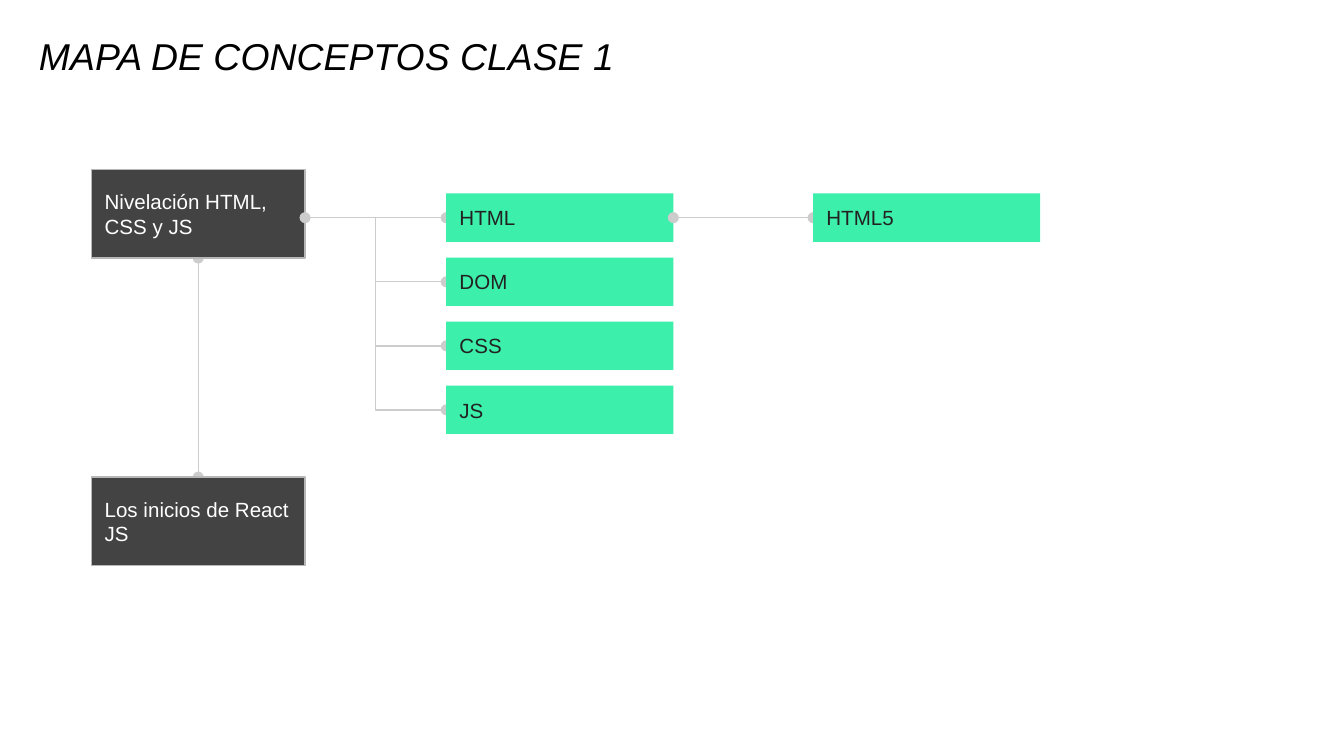
from lxml.etree import SubElement
from pptx import Presentation
from pptx.dml.color import RGBColor
from pptx.enum.shapes import MSO_CONNECTOR as Connector, MSO_SHAPE as Shape
from pptx.enum.text import MSO_ANCHOR as Anchor, MSO_AUTO_SIZE as AutoSize, PP_ALIGN as Align
from pptx.oxml.ns import qn
from pptx.util import Inches, Pt

BLACK = RGBColor(0x00, 0x00, 0x00)
WHITE = RGBColor(0xFF, 0xFF, 0xFF)
INK = RGBColor(0x22, 0x22, 0x22)
CHARCOAL = RGBColor(0x43, 0x43, 0x43)
BORDER = RGBColor(0xB7, 0xB7, 0xB7)
LINK = RGBColor(0xCC, 0xCC, 0xCC)
MINT = RGBColor(0x3C, 0xEF, 0xAB)

TOP, LEFT, BOTTOM, RIGHT = range(4)
STAGE_SIZE = Inches(1.59), Inches(0.66)
TOPIC_SIZE = Inches(1.69), Inches(0.36)


def write_text(box, text, size, color, anchor, italic=False):
    """Fill a shape with one left-aligned paragraph."""
    frame = box.text_frame
    frame.text = text
    frame.word_wrap = True
    frame.auto_size = AutoSize.NONE
    frame.vertical_anchor = anchor
    frame.margin_left = frame.margin_right = Inches(0.1)
    frame.margin_top = frame.margin_bottom = Inches(0.1)
    para = frame.paragraphs[0]
    para.alignment = Align.LEFT
    para.font.name = "Arial"
    para.font.size = Pt(size)
    para.font.italic = italic
    para.font.color.rgb = color


def add_box(page, text, left, top, size, fill, ink, border=None):
    """Add a filled concept box with its label."""
    box = page.shapes.add_shape(Shape.RECTANGLE, left, top, *size)
    box.shadow.inherit = False
    box.fill.solid()
    box.fill.fore_color.rgb = fill
    if border is None:
        box.line.fill.background()
    else:
        box.line.color.rgb = border
        box.line.width = Pt(0.75)
    write_text(box, text, 11, ink, Anchor.MIDDLE)
    return box


def add_link(page, kind, start, end, behind, ends=("headEnd", "tailEnd")):
    """Add a dotted-end connector layered just behind the given box."""
    link = page.shapes.add_connector(kind, *start, *end)
    link.line.color.rgb = LINK
    link.line.width = Pt(0.75)
    SubElement(link._element.spPr, qn("a:effectLst"))
    for name in ends:
        SubElement(link.line._get_or_add_ln(), qn(f"a:{name}"), type="oval")
    behind._element.addprevious(link._element)
    return link


def add_title(page, text, left, top, width, height):
    """Place and format the title placeholder."""
    title = page.shapes.title
    title.left, title.top, title.width, title.height = left, top, width, height
    write_text(title, text, 20, BLACK, Anchor.BOTTOM, italic=True)


def add_stages(page, labels, left, top, pitch):
    """Stack the class stages and join each to the next."""
    stages = [
        add_box(page, label, left, top + pitch * row, STAGE_SIZE, CHARCOAL, WHITE, BORDER)
        for row, label in enumerate(labels)
    ]
    for upper, lower in zip(stages, stages[1:]):
        link = add_link(page, Connector.STRAIGHT, (0, 0), (0, 0), stages[0])
        link.begin_connect(upper, BOTTOM)
        link.end_connect(lower, TOP)


def add_topics(page, labels, root, left, top, pitch):
    """Stack the topics and branch to each of them from the root point."""
    topics = []
    for row, label in enumerate(labels):
        topic = add_box(page, label, left, top + pitch * row, TOPIC_SIZE, MINT, INK)
        target = left, topic.top + topic.height // 2
        if row == 0:
            link = add_link(page, Connector.STRAIGHT, root, target, topic)
            link.end_connect(topic, LEFT)
        else:
            add_link(page, Connector.ELBOW, root, target, topic, ends=("tailEnd",))
        topics.append(topic)
    return topics


def add_detail(page, label, topic, left):
    """Add a detail box level with its topic and join the two."""
    detail = add_box(page, label, left, topic.top, TOPIC_SIZE, MINT, INK)
    link = add_link(page, Connector.STRAIGHT, (0, 0), (0, 0), detail)
    link.begin_connect(topic, RIGHT)
    link.end_connect(detail, LEFT)


def main():
    """Build the concept map slide."""
    deck = Presentation()
    deck.slide_width = Inches(10)
    deck.slide_height = deck.slide_width * 9 // 16
    page = deck.slides.add_slide(deck.slide_layouts[5])
    add_title(page, "MAPA DE CONCEPTOS CLASE 1",
              Inches(0.19), Inches(0.22), Inches(8.26), Inches(0.46))
    add_stages(page, ["Nivelación HTML, CSS y JS", "Los inicios de React JS"],
               Inches(0.68), Inches(1.26), Inches(2.29))
    topics = add_topics(page, ["HTML", "DOM", "CSS", "JS"], (Inches(2.27), Inches(1.62)),
                        Inches(3.32), Inches(1.44), Inches(1.43) // 3)
    add_detail(page, "HTML5", topics[0], Inches(6.05))
    deck.save("out.pptx")


if __name__ == "__main__":
    main()
